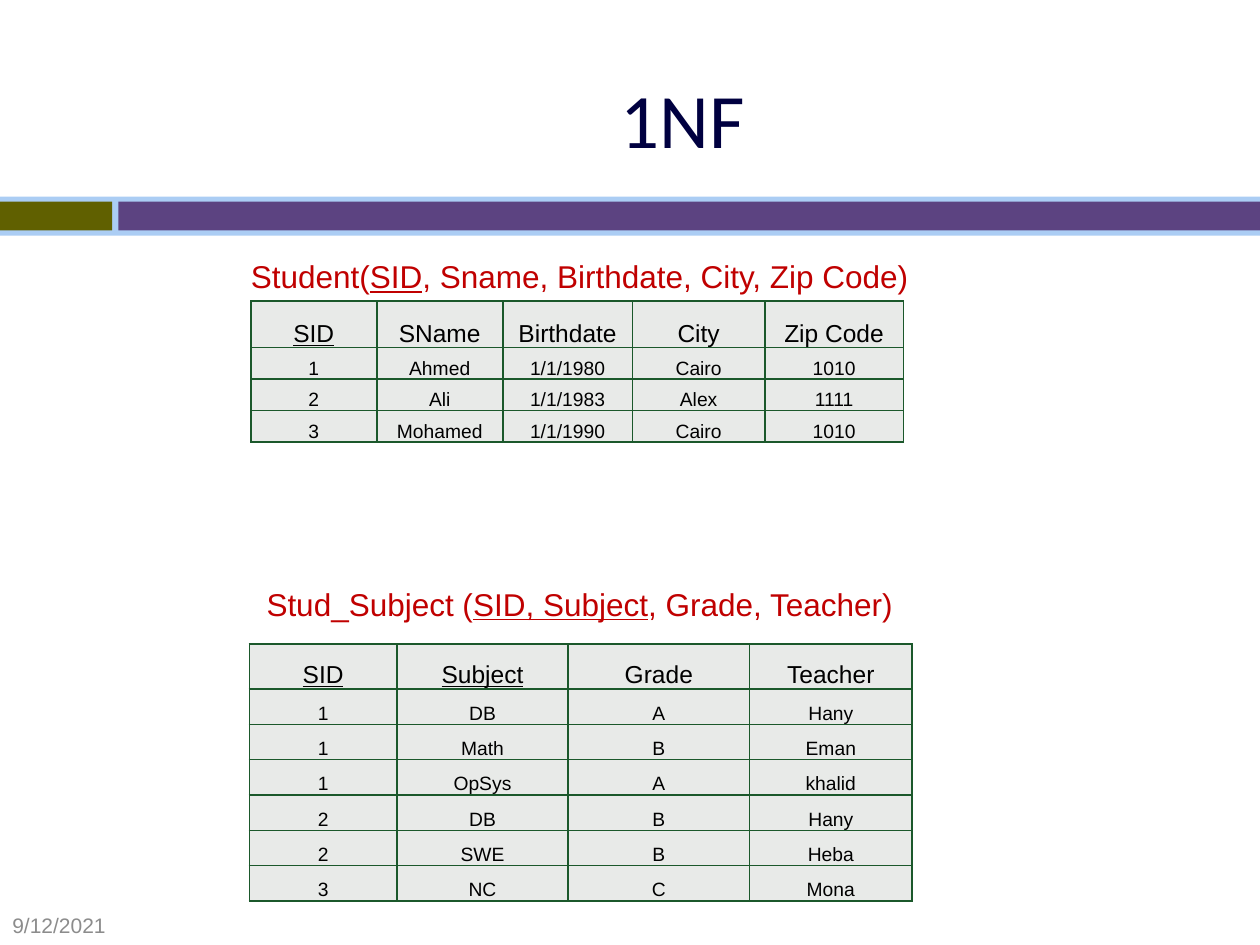
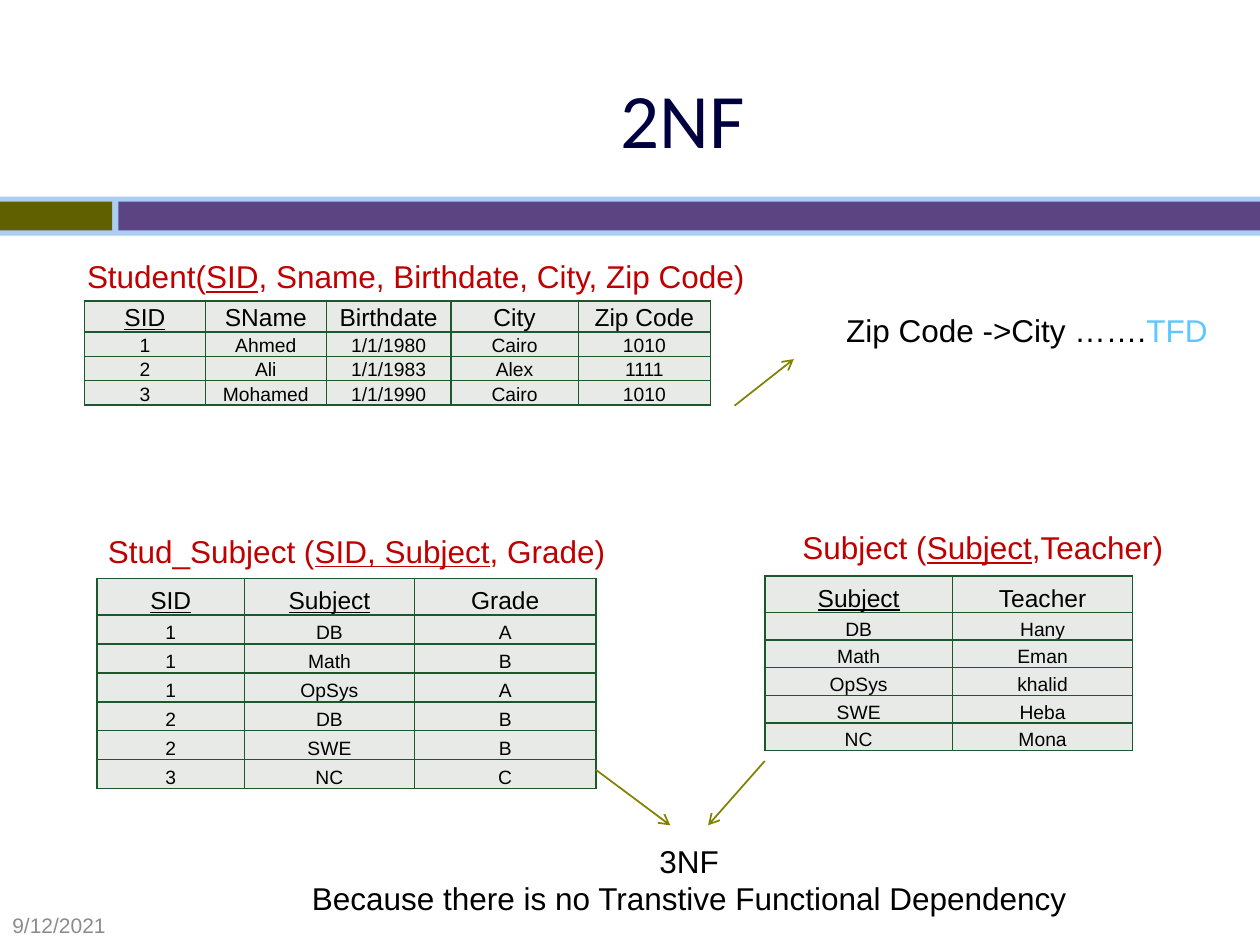
from lxml import etree
from pptx import Presentation
from pptx.dml.color import RGBColor
from pptx.enum import shapes, text
from pptx.oxml import ns
from pptx.util import Inches, Pt

NAVY = RGBColor(0x00, 0x00, 0x40)
SKY = RGBColor(0xAB, 0xCD, 0xF4)
OLIVE = RGBColor(0x60, 0x60, 0x00)
PURPLE = RGBColor(0x5C, 0x43, 0x81)
GRAY = RGBColor(0x8C, 0x8C, 0x8C)
RED = RGBColor(0xC0, 0x00, 0x00)
BLACK = RGBColor(0x00, 0x00, 0x00)
CYAN = RGBColor(0x5B, 0xC9, 0xFF)
ARROW = RGBColor(0x82, 0x82, 0x00)
PALE = RGBColor(0xE8, 0xEA, 0xE8)
GREEN = RGBColor(0x1B, 0x58, 0x2B)

CENTER = text.PP_ALIGN.CENTER
MIDDLE = text.MSO_ANCHOR.MIDDLE

# Text between asterisks is marked: underlined, or tinted if a tint is given.
STUDENT = [
    ("*SID*", "SName", "Birthdate", "City", "Zip Code"),
    ("1", "Ahmed", "1/1/1980", "Cairo", "1010"),
    ("2", "Ali", "1/1/1983", "Alex", "1111"),
    ("3", "Mohamed", "1/1/1990", "Cairo", "1010"),
]
MARKS = [
    ("*SID*", "*Subject*", "Grade", "Teacher"),
    ("1", "DB", "A", "Hany"),
    ("1", "Math", "B", "Eman"),
    ("1", "OpSys", "A", "khalid"),
    ("2", "DB", "B", "Hany"),
    ("2", "SWE", "B", "Heba"),
    ("3", "NC", "C", "Mona"),
]
GRADES = [row[:3] for row in MARKS]
TEACHERS = list(dict.fromkeys((row[1], row[3]) for row in MARKS))
STUDENT_HEAD = "Student(*SID*, Sname, Birthdate, City, Zip Code)"


def add_node(parent, tag, **attrs):
    return etree.SubElement(parent, ns.qn(tag), **attrs)


class Deck:
    def __init__(self):
        self.prs = Presentation()
        self.prs.slide_width = Inches(10)
        self.prs.slide_height = Inches(7.5)

    def start(self, title):
        """Open a slide with the bands, title and date that all slides share."""
        self.slide = self.prs.slides.add_slide(self.prs.slide_layouts[6])
        self.band(0, 1.56, 10, 0.31, SKY)
        self.band(0, 1.6, 0.89, 0.23, OLIVE)
        self.band(0.94, 1.6, 9.06, 0.23, PURPLE)
        self.label(0.92, 0.31, 9, 1.25, title, NAVY, 44, "Calibri", anchor=MIDDLE)
        self.label(0, 7.19, 1.97, 0.31, "9/12/2021", GRAY, 12,
                   align=text.PP_ALIGN.LEFT, anchor=MIDDLE)

    def band(self, x, y, w, h, color):
        box = self.slide.shapes.add_shape(
            shapes.MSO_SHAPE.RECTANGLE, Inches(x), Inches(y), Inches(w), Inches(h))
        box.shadow.inherit = False
        box.fill.solid()
        box.fill.fore_color.rgb = color
        box.line.fill.background()

    def put_text(self, par, words, color, size, face="Arial", align=CENTER, tint=None):
        par.alignment = align
        par.font.size = Pt(size)
        par.font.name = face
        par.font.color.rgb = color
        for i, part in enumerate(words.split("*")):
            if not part:
                continue
            run = par.add_run()
            run.text = part
            if i % 2 and tint:
                run.font.color.rgb = tint
            elif i % 2:
                run.font.underline = True

    def label(self, x, y, w, h, words, color=BLACK, size=18, face="Arial",
              align=CENTER, anchor=text.MSO_ANCHOR.TOP, tint=None):
        box = self.slide.shapes.add_textbox(Inches(x), Inches(y), Inches(w), Inches(h))
        frame = box.text_frame
        frame.word_wrap = True
        frame.vertical_anchor = anchor
        for i, line in enumerate(words.split("\n")):
            par = frame.add_paragraph() if i else frame.paragraphs[0]
            self.put_text(par, line, color, size, face, align, tint)
        return frame

    def schema(self, x, y, words):
        """Red relation heading, set a little right of the box centre."""
        frame = self.label(x, y, 5.86, 0.4, words, RED)
        frame.margin_left = Inches(0.38)

    def table(self, x, y, cols, head, body, rows):
        """Table with a head row and equal body rows, of the given heights."""
        high = head + body * (len(rows) - 1)
        grid = self.slide.shapes.add_table(
            len(rows), len(cols), Inches(x), Inches(y),
            Inches(sum(cols)), Inches(high)).table
        grid.first_row = grid.horz_banding = False
        for col, wide in zip(grid.columns, cols):
            col.width = Inches(wide)
        for r, row in enumerate(rows):
            grid.rows[r].height = Inches(body if r else head)
            for c, words in enumerate(row):
                self.cell(grid.cell(r, c), words, 11 if r else 14)

    def cell(self, cell, words, size):
        cell.margin_left = cell.margin_right = cell.margin_top = Inches(0.01)
        cell.margin_bottom = 0
        cell.vertical_anchor = text.MSO_ANCHOR.BOTTOM
        props = cell._tc.get_or_add_tcPr()
        for side in "LRTB":
            edge = add_node(props, f"a:ln{side}", w=str(Pt(1)))
            fill = add_node(edge, "a:solidFill")
            add_node(fill, "a:srgbClr", val=str(GREEN))
        cell.fill.solid()
        cell.fill.fore_color.rgb = PALE
        self.put_text(cell.text_frame.paragraphs[0], words, BLACK, size)

    def arrow(self, x1, y1, x2, y2):
        line = self.slide.shapes.add_connector(
            shapes.MSO_CONNECTOR.STRAIGHT,
            Inches(x1), Inches(y1), Inches(x2), Inches(y2))
        line.line.color.rgb = ARROW
        line.line.width = Pt(1)
        props = line._element.spPr
        add_node(props.find(ns.qn("a:ln")), "a:tailEnd", type="arrow")
        add_node(props, "a:effectLst")


def first_form(deck):
    deck.start("1NF")
    deck.table(1.99, 2.39, (1, 1, 1.03, 1.05, 1.1), 0.37, 0.25, STUDENT)
    deck.table(1.98, 5.11, (1.17, 1.36, 1.44, 1.29), 0.36, 0.28, MARKS)
    deck.schema(1.53, 1.99, STUDENT_HEAD)
    deck.schema(1.53, 4.59, "Stud_Subject (*SID, Subject*, Grade, Teacher)")


def second_form(deck):
    deck.start("2NF")
    deck.table(0.67, 2.39, (0.96, 0.96, 0.99, 1.01, 1.05), 0.24, 0.19, STUDENT)
    deck.table(0.77, 4.59, (1.17, 1.35, 1.44), 0.29, 0.23, GRADES)
    deck.table(6.07, 4.57, (1.49, 1.43), 0.29, 0.22, TEACHERS)
    deck.schema(0.23, 1.99, STUDENT_HEAD)
    deck.schema(-0.24, 4.17, "Stud_Subject (*SID, Subject*, Grade)")
    deck.schema(4.73, 4.14, "Subject (*Subject*,Teacher)")
    deck.label(6.3, 2.42, 3.7, 0.4, "Zip Code ->City …….*TFD*", tint=CYAN)
    deck.arrow(5.83, 3.22, 6.3, 2.85)
    deck.arrow(4.73, 6.11, 5.32, 6.55)
    deck.arrow(6.07, 6.04, 5.62, 6.55)
    deck.label(1.43, 6.63, 8.08, 0.71,
               "3NF\nBecause there is no Transtive Functional Dependency")


def main():
    deck = Deck()
    first_form(deck)
    second_form(deck)
    deck.prs.save("out.pptx")


if __name__ == "__main__":
    main()
